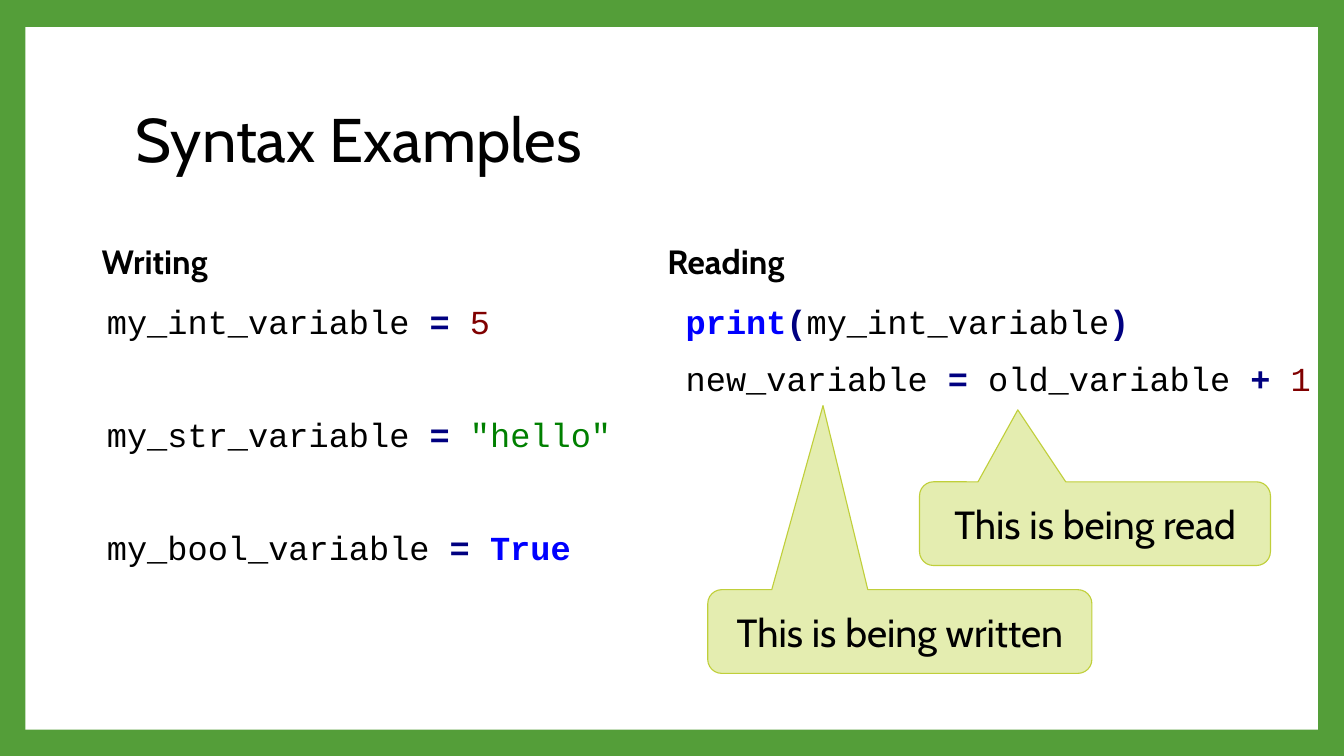
from pptx import Presentation
from pptx.dml.color import RGBColor
from pptx.enum.shapes import MSO_SHAPE
from pptx.enum.text import MSO_ANCHOR, PP_ALIGN
from pptx.util import Inches, Pt

RECT, CALLOUT = MSO_SHAPE.RECTANGLE, MSO_SHAPE.ROUNDED_RECTANGULAR_CALLOUT
TOP, MIDDLE = MSO_ANCHOR.TOP, MSO_ANCHOR.MIDDLE
LEFT, CENTER = PP_ALIGN.LEFT, PP_ALIGN.CENTER

# Colour and weight of each kind of code token
STYLES = {
    "name": ("000000", False),
    "sign": ("000080", True),
    "word": ("0000FF", True),
    "number": ("800000", False),
    "string": ("008000", False),
}

deck = Presentation()
deck.slide_width, deck.slide_height = Inches(13.33), Inches(7.5)
slide = deck.slides.add_slide(deck.slide_layouts[6])
shapes = slide.shapes


def place(x, y, w, h):
    """Turn percentages of the slide's size into lengths."""
    across, down = deck.slide_width / 100, deck.slide_height / 100
    return int(x * across), int(y * down), int(w * across), int(h * down)


def write(shape, lines, font="Cabin", size=24, bold=False, align=LEFT,
          anchor=MIDDLE, leading=0.9, gap=0):
    """Fill a shape with lines, each a string or a list of (text, kind) tokens."""
    frame = shape.text_frame
    frame.word_wrap = True
    frame.vertical_anchor = anchor
    for i, line in enumerate(lines):
        para = frame.add_paragraph() if i else frame.paragraphs[0]
        para.alignment = align
        para.line_spacing = leading
        para.space_before = Pt(gap if i else 0)
        tokens = [(line, "name")] if isinstance(line, str) else line
        for text, kind in tokens:
            color, strong = STYLES[kind]
            run = para.add_run()
            run.text = text
            run.font.name = font
            run.font.size = Pt(size)
            run.font.bold = bold or strong
            run.font.color.rgb = RGBColor.from_string(color)


# Green frame around a white page
back = slide.background.fill
back.solid()
back.fore_color.rgb = RGBColor.from_string("549E39")
page = shapes.add_shape(RECT, *place(1.88, 3.6, 96.17, 92.93))
page.shadow.inherit = False
page.fill.solid()
page.fill.fore_color.rgb = RGBColor.from_string("FFFFFF")
page.line.fill.background()

title = shapes.add_textbox(*place(9.38, 8.93, 81, 19.73))
write(title, ["Syntax Examples"], size=44)

# Two columns: heading, its left, code left, code width, line gap, code
writing = [
    [("my_int_variable ", "name"), ("= ", "sign"), ("5", "number")],
    [("my_str_variable ", "name"), ("= ", "sign"), ('"hello"', "string")],
    [("my_bool_variable ", "name"), ("= ", "sign"), ("True", "word")],
]
reading = [
    [("print", "word"), ("(", "sign"), ("my_int_variable", "name"), (")", "sign")],
    [("new_variable ", "name"), ("=", "sign"), (" old_variable ", "name"),
     ("+ ", "sign"), ("1", "number")],
]
columns = [
    ("Writing", 6.83, 6.83, 42.08, 55, writing),
    ("Reading", 48.91, 49.89, 50, 15, reading),
]
for name, x, start, width, gap, code in columns:
    head = shapes.add_textbox(*place(x, 29.2, 39, 11.33))
    write(head, [name], bold=True)
    body = shapes.add_textbox(*place(start, 39.73, width, 49.33))
    body.text_frame.margin_left = Inches(0.15)
    write(body, code, font="Courier New", anchor=TOP, gap=gap)

# Callouts: text, left, top, width, tip offset from the centre
notes = [
    ("This is being read", 68.42, 63.73, 26.11, (-0.22, -1.36)),
    ("This is being written", 52.66, 78, 28.58, (-0.2, -2.7)),
]
for text, x, y, width, tip in notes:
    note = shapes.add_shape(CALLOUT, *place(x, y, width, 11.07))
    note.adjustments[0], note.adjustments[1] = tip
    note.shadow.inherit = False
    note.fill.solid()
    note.fill.fore_color.rgb = RGBColor.from_string("E4EDB0")
    note.line.color.rgb = RGBColor.from_string("C0CF3A")
    note.line.width = Pt(0.79)
    write(note, [text], size=28, align=CENTER, leading=1)

deck.save("out.pptx")
